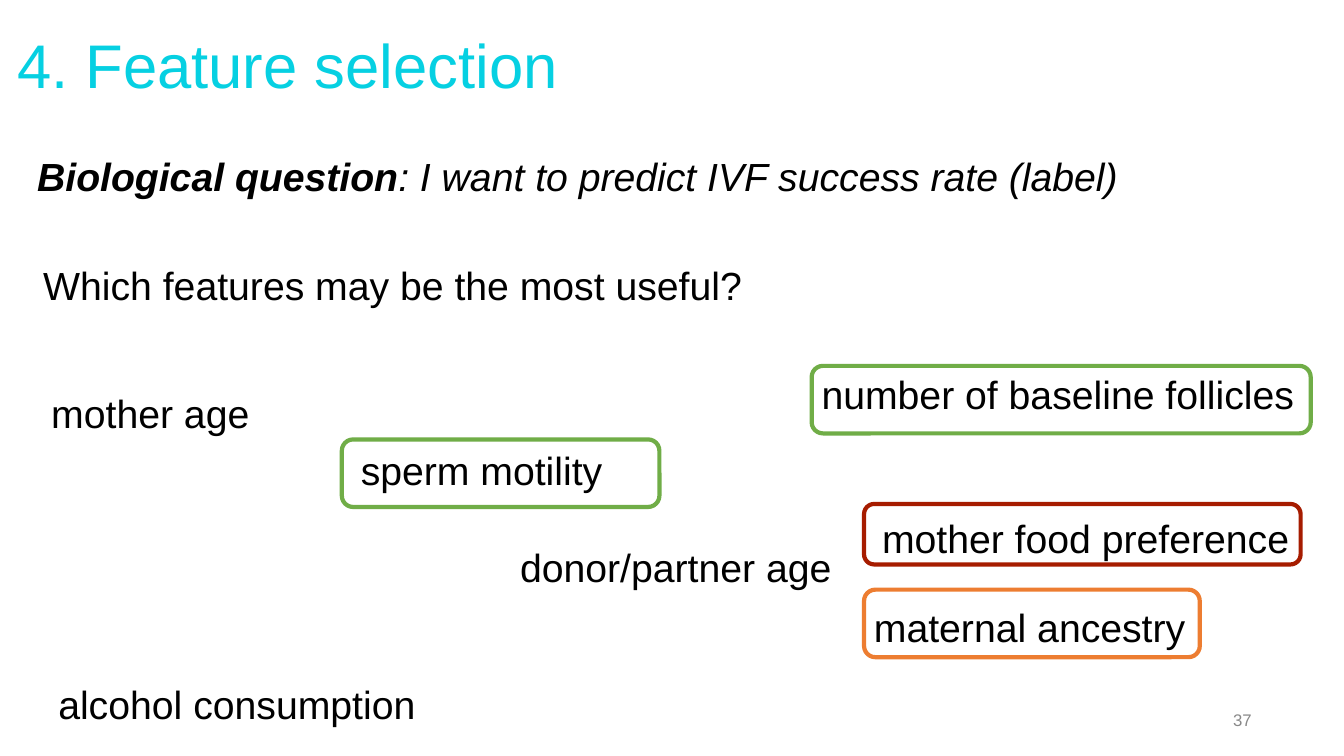
from dataclasses import dataclass

from pptx import Presentation
from pptx import util as u
from pptx.dml.color import RGBColor
from pptx.enum import shapes, text

FONT = "Arial"
BLACK, CYAN, GREY = "000000", "06D0E2", "898989"
GREEN, RED, ORANGE = "70AD47", "A61C00", "ED7D31"
ROW_HEIGHT = 0.67


@dataclass
class Label:
    left: float
    top: float
    width: float
    words: str


@dataclass
class Outline:
    left: float
    top: float
    width: float
    height: float
    color: str


LABELS = [
    Label(0.33, 2.49, 9.58, "Which features may be the most useful?"),
    Label(0.41, 3.76, 3.28, "mother age"),
    Label(3.48, 4.33, 3.28, "sperm motility"),
    Label(0.48, 6.65, 4.03, "alcohol consumption"),
    Label(5.06, 5.29, 3.65, "donor/partner age"),
    Label(8.05, 3.57, 5.27, "number of baseline follicles"),
    Label(8.57, 5.89, 4.03, "maternal ancestry"),
    Label(8.65, 5, 4.33, "mother food preference"),
]

OUTLINES = [
    Outline(3.39, 4.36, 3.15, ROW_HEIGHT, GREEN),
    Outline(8.57, 5, 4.33, 0.6, RED),
    Outline(8.05, 3.63, 4.95, ROW_HEIGHT, GREEN),
    Outline(8.57, 5.85, 3.33, ROW_HEIGHT, ORANGE),
]


def rgb(color: str) -> RGBColor:
    return RGBColor.from_string(color)


def place(box, left: float, top: float, width: float, height: float) -> None:
    box.left, box.top = u.Inches(left), u.Inches(top)
    box.width, box.height = u.Inches(width), u.Inches(height)


def prepare_frame(box, inset_x: float, inset_y: float):
    frame = box.text_frame
    frame.word_wrap = True
    frame.auto_size = text.MSO_AUTO_SIZE.NONE
    frame.vertical_anchor = text.MSO_ANCHOR.TOP
    frame.margin_left = frame.margin_right = u.Inches(inset_x)
    frame.margin_top = frame.margin_bottom = u.Inches(inset_y)
    para = frame.paragraphs[0]
    para.alignment = text.PP_ALIGN.LEFT
    return para


def add_span(para, words: str, size: float = 28, color: str = BLACK,
             bold: bool = False, italic: bool = False) -> None:
    span = para.add_run()
    span.text = words
    span.font.name, span.font.size = FONT, u.Pt(size)
    span.font.color.rgb = rgb(color)
    span.font.bold, span.font.italic = bold, italic


def add_text_box(page, left: float, top: float, width: float,
                 height: float = ROW_HEIGHT, inset_x: float = 0.1, inset_y: float = 0.1):
    box = page.shapes.add_textbox(u.Inches(left), u.Inches(top), u.Inches(width), u.Inches(height))
    return prepare_frame(box, inset_x, inset_y)


def add_outline(page, outline: Outline) -> None:
    box = page.shapes.add_shape(shapes.MSO_SHAPE.ROUNDED_RECTANGLE, 0, 0, 0, 0)
    place(box, outline.left, outline.top, outline.width, outline.height)
    box.adjustments[0] = 0.167
    box.shadow.inherit = False
    box.fill.background()
    box.line.color.rgb = rgb(outline.color)
    box.line.width = u.Pt(3)


def main() -> None:
    """Build the feature selection slide and save it."""
    deck = Presentation()
    deck.slide_width, deck.slide_height = u.Inches(13.33), u.Inches(7.5)
    page = deck.slides.add_slide(deck.slide_layouts[5])

    title = page.shapes.title
    place(title, 0.16, 0.26, 12.55, 0.75)
    add_span(prepare_frame(title, 0.01, 0.01), "4. Feature selection", 44, CYAN)

    question = add_text_box(page, 0.27, 1.41, 12.55)
    add_span(question, "Biological question", bold=True, italic=True)
    add_span(question, ": I want to predict IVF success rate (label)", italic=True)

    for label in LABELS:
        add_span(add_text_box(page, label.left, label.top, label.width), label.words)
    for outline in OUTLINES:
        add_outline(page, outline)

    number = add_text_box(page, 12.23, 7.03, 1.09, 0.21, 0, 0.01)
    add_span(number, "37", 12, GREY)
    deck.save("out.pptx")


if __name__ == "__main__":
    main()
